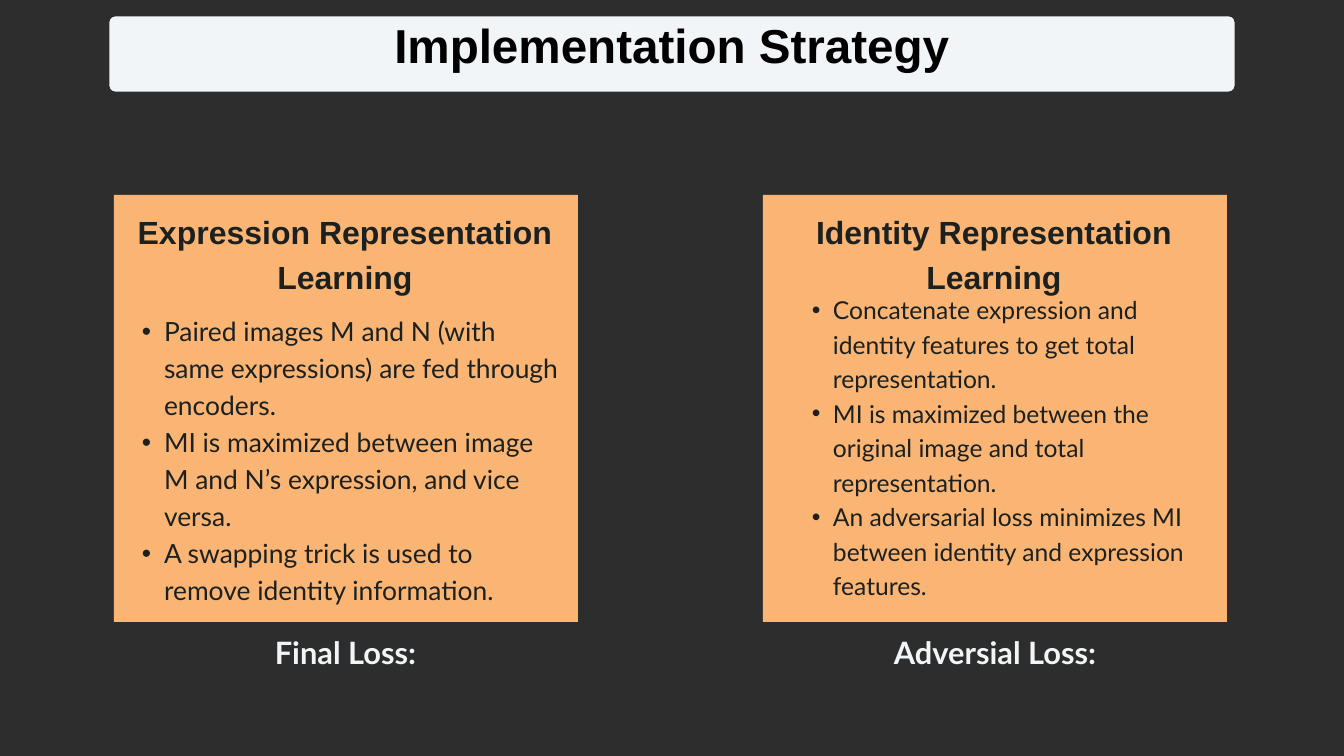
from dataclasses import dataclass

from lxml.etree import SubElement
from pptx import Presentation
from pptx.dml.color import RGBColor
from pptx.enum.shapes import MSO_SHAPE
from pptx.enum.text import MSO_ANCHOR, MSO_AUTO_SIZE, PP_ALIGN
from pptx.oxml.ns import qn
from pptx.util import Emu, Pt

BACKGROUND = RGBColor(0x2E, 0x2D, 0x2D)
PALE = RGBColor(0xF1, 0xF5, 0xF8)
ORANGE = RGBColor(0xFA, 0xB5, 0x74)
INK = RGBColor(0x1C, 0x21, 0x20)
BLACK = RGBColor(0, 0, 0)

SLIDE_WIDTH, SLIDE_HEIGHT = 1344, 756
EMU_PER_PX = 18288000 / SLIDE_WIDTH


@dataclass(frozen=True)
class Area:
    left: int
    top: int
    width: int
    height: int


@dataclass(frozen=True)
class Card:
    left: int
    heading: str
    points: list[str]
    points_area: Area
    points_size: float
    points_leading: float
    hanging: int
    caption: str
    caption_width: int


CARD_TOP, CARD_WIDTH, CARD_HEIGHT = 195, 464, 427
BANNER = Area(108, 15, 1128, 78)
TITLE = Area(108, -14, 1128, 108)

CARDS = [
    Card(
        114,
        "Expression Representation Learning",
        [
            "Paired images M and N (with same expressions) are fed through encoders.",
            "MI is maximized between image M and N’s expression, and vice versa.",
            "A swapping trick is used to remove identity information.",
        ],
        Area(120, 310, 439, 290), 28.3, 39.6, 22,
        "Final Loss:", 157,
    ),
    Card(
        763,
        "Identity Representation Learning",
        [
            "Concatenate expression and identity features to get total representation.",
            "MI is maximized between the original image and total representation.",
            "An adversarial loss minimizes MI between identity and expression features.",
        ],
        Area(791, 290, 407, 307), 26.4, 37, 21,
        "Adversial Loss:", 224,
    ),
]


def px(length: int) -> Emu:
    return Emu(round(length * EMU_PER_PX))


def place(shape, area: Area) -> None:
    shape.left, shape.top = px(area.left), px(area.top)
    shape.width, shape.height = px(area.width), px(area.height)


def add_panel(page, kind: MSO_SHAPE, area: Area, fill: RGBColor):
    panel = page.shapes.add_shape(kind, 0, 0, 0, 0)
    place(panel, area)
    panel.shadow.inherit = False
    panel.fill.solid()
    panel.fill.fore_color.rgb = fill
    panel.line.fill.background()
    return panel


def write_text(box, lines: list[str], *, size: float, leading: float, color: RGBColor,
               font: str = "Arial", bold: bool = False, hanging: int = 0,
               inset: int = 0, wrap: bool = True,
               anchor: MSO_ANCHOR = MSO_ANCHOR.TOP) -> None:
    frame = box.text_frame
    frame.word_wrap = wrap
    frame.auto_size = MSO_AUTO_SIZE.NONE
    frame.vertical_anchor = anchor
    frame.margin_left = frame.margin_right = px(inset)
    frame.margin_top = frame.margin_bottom = px(inset)
    for index, line in enumerate(lines):
        para = frame.add_paragraph() if index else frame.paragraphs[0]
        para.alignment = PP_ALIGN.LEFT if hanging else PP_ALIGN.CENTER
        para.line_spacing = Pt(leading)
        para.space_before = para.space_after = Pt(0)
        if hanging:
            add_bullet(para, hanging)
        span = para.add_run()
        span.text = line
        span.font.name = font
        span.font.size = Pt(size)
        span.font.bold = bold
        span.font.color.rgb = color


def add_bullet(para, hanging: int) -> None:
    para.level = 1
    properties = para._p.get_or_add_pPr()
    properties.set("marL", str(px(2 * hanging)))
    properties.set("indent", str(px(-hanging)))
    SubElement(properties, qn("a:buFont")).set("typeface", "Arial")
    SubElement(properties, qn("a:buChar")).set("char", "•")


def add_text(page, area: Area, lines: list[str], **text_format) -> None:
    box = page.shapes.add_textbox(0, 0, 0, 0)
    place(box, area)
    write_text(box, lines, **text_format)


def add_title(page, text: str) -> None:
    banner = add_panel(page, MSO_SHAPE.ROUNDED_RECTANGLE, BANNER, PALE)
    banner.adjustments[0] = 0.09
    banner.line.color.rgb = BACKGROUND
    banner.line.width = Pt(3)
    title = page.shapes.title
    banner._element.addnext(title._element)
    place(title, TITLE)
    write_text(title, [text], size=51, leading=71.4, color=BLACK, bold=True,
               inset=4, anchor=MSO_ANCHOR.MIDDLE)


def add_card(page, card: Card) -> None:
    add_panel(page, MSO_SHAPE.RECTANGLE,
              Area(card.left, CARD_TOP, CARD_WIDTH, CARD_HEIGHT), ORANGE)
    add_text(page, Area(card.left + 6, CARD_TOP + 11, 450, 88), [card.heading],
             size=34.3, leading=48.1, color=INK, bold=True)
    add_text(page, card.points_area, card.points, size=card.points_size,
             leading=card.points_leading, color=INK, font="Lato", hanging=card.hanging)
    caption_left = card.left + (CARD_WIDTH - card.caption_width) // 2
    add_text(page, Area(caption_left, 628, card.caption_width, 42), [card.caption],
             size=33, leading=46.2, color=PALE, font="Lato", bold=True, wrap=False)


def main() -> None:
    deck = Presentation()
    deck.slide_width, deck.slide_height = px(SLIDE_WIDTH), px(SLIDE_HEIGHT)
    page = deck.slides.add_slide(deck.slide_layouts.get_by_name("Title Only"))
    page.background.fill.solid()
    page.background.fill.fore_color.rgb = BACKGROUND
    add_title(page, "Implementation Strategy")
    for card in CARDS:
        add_card(page, card)
    deck.save("out.pptx")


if __name__ == "__main__":
    main()
